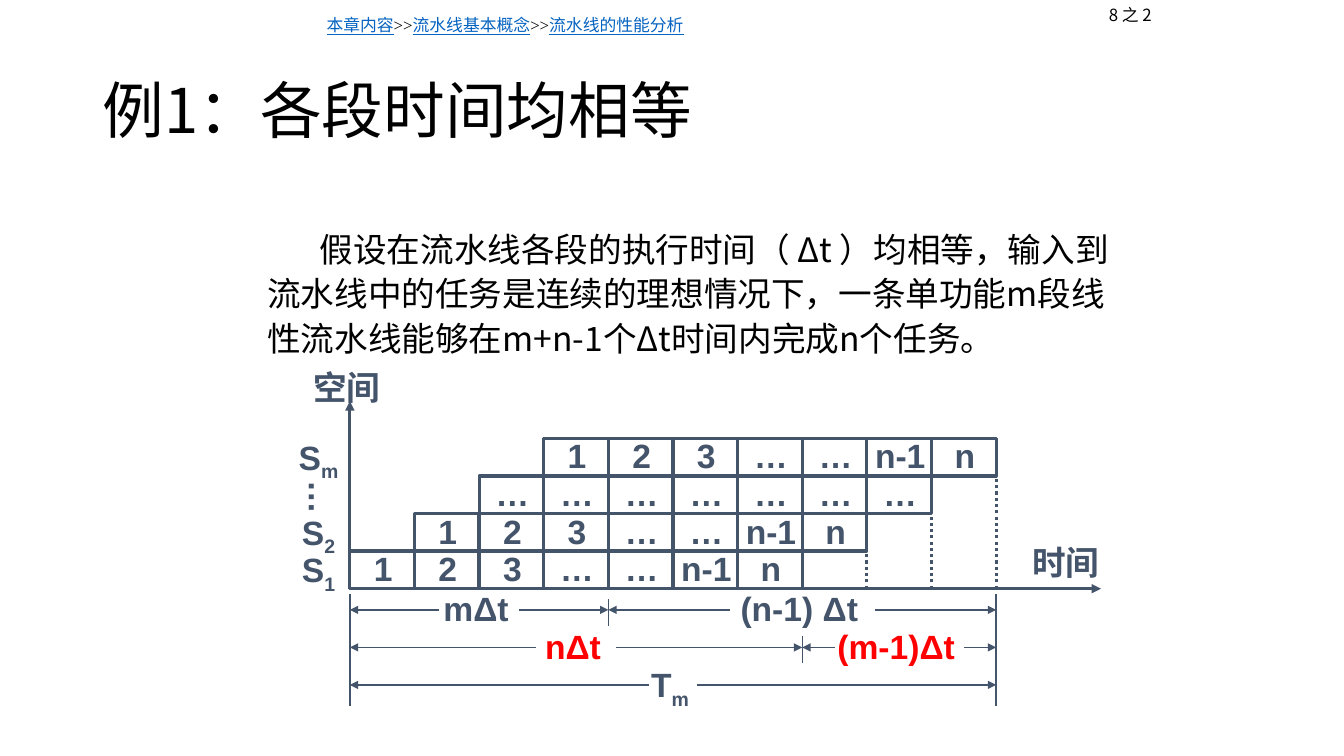
from lxml.etree import SubElement
from pptx import Presentation
from pptx.dml.color import RGBColor
from pptx.enum.dml import MSO_LINE
from pptx.enum.shapes import MSO_CONNECTOR, MSO_SHAPE
from pptx.enum.text import MSO_ANCHOR as Anchor, MSO_AUTO_SIZE as AutoSize, PP_ALIGN as Align
from pptx.oxml.ns import qn
from pptx.util import Inches, Pt

BLACK, SLATE, RED, LINK = "000000", "44546A", "FF0000", "0563C1"
CJK = "Noto Sans CJK SC"
LEFT, RIGHT, TOP, BASE = 3.47, 9.88, 4.35, 5.84
COLUMN = (RIGHT - LEFT) / 10
EIGHTH = COLUMN / 8
ROW = (BASE - TOP) / 4
DIMENSION_TOP = 6.05
LABEL_HEIGHT = 0.32

TASKS = ["1", "2", "3", "…", "…", "n-1", "n"]
STAGES = [("S", "1", TASKS), ("S", "2", TASKS), ("…", "", ["…"] * 7), ("S", "m", TASKS)]

DIMENSIONS = [
    (0, (0, 4), (11, 21), (11, 9), ("mΔt", ""), SLATE),
    (0, (4, 10), (47, 65), (46, 19), ("(n-1) Δt", ""), SLATE),
    (1, (0, 7), (23, 33), (23, 9), ("nΔt", ""), RED),
    (1, (7, 10), (60, 76), (59, 17), ("(m-1)Δt", ""), RED),
    (2, (0, 10), (37, 43), (37, 5), ("T", "m"), SLATE),
]


def color(value):
    return RGBColor.from_string(value)


def column_x(column):
    return LEFT + column * COLUMN


def row_y(row):
    return BASE - row * ROW


def place(shape, left, top, width, height):
    shape.left, shape.top = Inches(left), Inches(top)
    shape.width, shape.height = Inches(width), Inches(height)


def style(paragraph, size, name, value, bold=False, spacing=1.0, align=Align.LEFT):
    paragraph.alignment = align
    paragraph.line_spacing = spacing
    paragraph.space_before = Pt(0)
    font = paragraph.font
    font.size, font.name, font.bold = Pt(size), name, bold
    font.color.rgb = color(value)
    default = paragraph._p.pPr.find(qn("a:defRPr"))
    SubElement(default, qn("a:ea"), typeface=CJK)


def add_text_box(slide, left, top, width, height):
    return slide.shapes.add_textbox(*map(Inches, (left, top, width, height)))


def write_label(shape, text, subscript="", value=SLATE):
    frame = shape.text_frame
    frame.word_wrap = False
    frame.vertical_anchor = Anchor.MIDDLE
    frame.margin_left, frame.margin_right = Inches(0.02), 0
    frame.margin_top, frame.margin_bottom = Inches(0.04), 0
    paragraph = frame.paragraphs[0]
    style(paragraph, 24, "Arial", value, True, 0.8, Align.CENTER)
    paragraph.add_run().text = text
    if subscript:
        run = paragraph.add_run()
        run.text = subscript
        run._r.get_or_add_rPr().set("baseline", "-25000")


def add_label(slide, left, top, width, height, *text):
    box = add_text_box(slide, left, top, width, height)
    write_label(box, *text)
    return box


def add_cell(slide, column, row, text):
    box = map(Inches, (column_x(column), row_y(row + 1), COLUMN, ROW))
    cell = slide.shapes.add_shape(MSO_SHAPE.RECTANGLE, *box)
    cell.shadow.inherit = False
    cell.fill.background()
    cell.line.color.rgb = color(SLATE)
    cell.line.width = Pt(2.25)
    write_label(cell, text)


def add_line(slide, start, end, width=1.0, arrow=False, dotted=False):
    points = map(Inches, (*start, *end))
    connector = slide.shapes.add_connector(MSO_CONNECTOR.STRAIGHT, *points)
    connector.line.color.rgb = color(SLATE)
    connector.line.width = Pt(width)
    if dotted:
        connector.line.dash_style = MSO_LINE.ROUND_DOT
    if arrow:
        SubElement(connector.line._get_or_add_ln(), qn("a:tailEnd"), type="triangle")
    SubElement(connector._element.spPr, qn("a:effectLst"))


def add_heading(slide):
    title = slide.shapes.title
    place(title, 0.92, 0.4, 11.5, 1.45)
    title.text_frame.text = "例1：各段时间均相等"
    title.text_frame.vertical_anchor = Anchor.MIDDLE
    title.text_frame.auto_size = AutoSize.NONE
    style(title.text_frame.paragraphs[0], 44, CJK, BLACK, spacing=0.9)


def add_statement(slide):
    body = slide.placeholders[1]
    place(body, 2.55, 2.18, 8.7, 1.6)
    body.text_frame.text = (
        "假设在流水线各段的执行时间（ Δt ）均相等，输入到流水线中的任务是连续的理想情况下，"
        "一条单功能m段线性流水线能够在m+n-1个Δt时间内完成n个任务。"
    )
    body.text_frame.auto_size = AutoSize.NONE
    paragraph = body.text_frame.paragraphs[0]
    properties = paragraph._p.get_or_add_pPr()
    properties.set("marL", "0")
    properties.set("indent", str(Inches(0.52)))
    SubElement(properties, qn("a:buNone"))
    style(paragraph, 24, CJK, BLACK, spacing=1.1)


def add_navigation(slide):
    trail = add_text_box(slide, 3.14, 0.1, 8.28, 0.3)
    trail.text_frame.word_wrap = True
    paragraph = trail.text_frame.paragraphs[0]
    style(paragraph, 12, "Times New Roman", BLACK)
    for index, topic in enumerate(["本章内容", "流水线基本概念", "流水线的性能分析"]):
        if index:
            paragraph.add_run().text = ">>"
        run = paragraph.add_run()
        run.text = topic
        run.font.underline = True
        run.font.color.rgb = color(LINK)
    page = add_text_box(slide, 10.75, 0, 0.92, 0.3)
    page.text_frame.word_wrap = True
    page.text_frame.text = "8 之 2"
    style(page.text_frame.paragraphs[0], 12, CJK, BLACK, align=Align.CENTER)


def add_stages(slide):
    for row, (name, subscript, tasks) in enumerate(STAGES):
        label = add_label(slide, column_x(-1), row_y(row + 1), COLUMN, ROW, name, subscript)
        if name == "…":
            label.text_frame._txBody.bodyPr.set("vert", "eaVert")
        for offset, task in enumerate(tasks):
            add_cell(slide, row + offset, row, task)
    for row in (1, 2, 3):
        x = column_x(row + 7)
        add_line(slide, (x, BASE), (x, row_y(row)), 2.25, dotted=True)


def add_axes(slide):
    add_line(slide, (LEFT, BASE), (LEFT, 3.98), 2.25, arrow=True)
    add_line(slide, (LEFT, BASE), (10.92, BASE), 2.25, arrow=True)
    add_label(slide, 10.12, 5.41, 0.88, ROW, "时间")
    add_label(slide, 2.91, 3.67, 1.04, ROW, "空间")


def add_dimensions(slide):
    for column, top, bottom in ((0, 5.89, 7), (10, 5.89, 7), (4, 5.94, 6.21), (7, 6.31, 6.58)):
        x = column_x(column)
        add_line(slide, (x, bottom), (x, top))
    for level, span, gap, (label_start, label_size), text, value in DIMENSIONS:
        y = DIMENSION_TOP + level * ROW
        for inner, outer in zip(gap, span):
            add_line(slide, (LEFT + inner * EIGHTH, y), (column_x(outer), y), arrow=True)
        add_label(slide, LEFT + label_start * EIGHTH, y - LABEL_HEIGHT / 2,
                  label_size * EIGHTH, LABEL_HEIGHT, *text, value)


def main():
    presentation = Presentation()
    presentation.slide_width, presentation.slide_height = Inches(13.33), Inches(7.5)
    slide = presentation.slides.add_slide(presentation.slide_layouts[1])
    add_heading(slide)
    add_statement(slide)
    add_navigation(slide)
    add_stages(slide)
    add_axes(slide)
    add_dimensions(slide)
    presentation.save("out.pptx")


if __name__ == "__main__":
    main()
